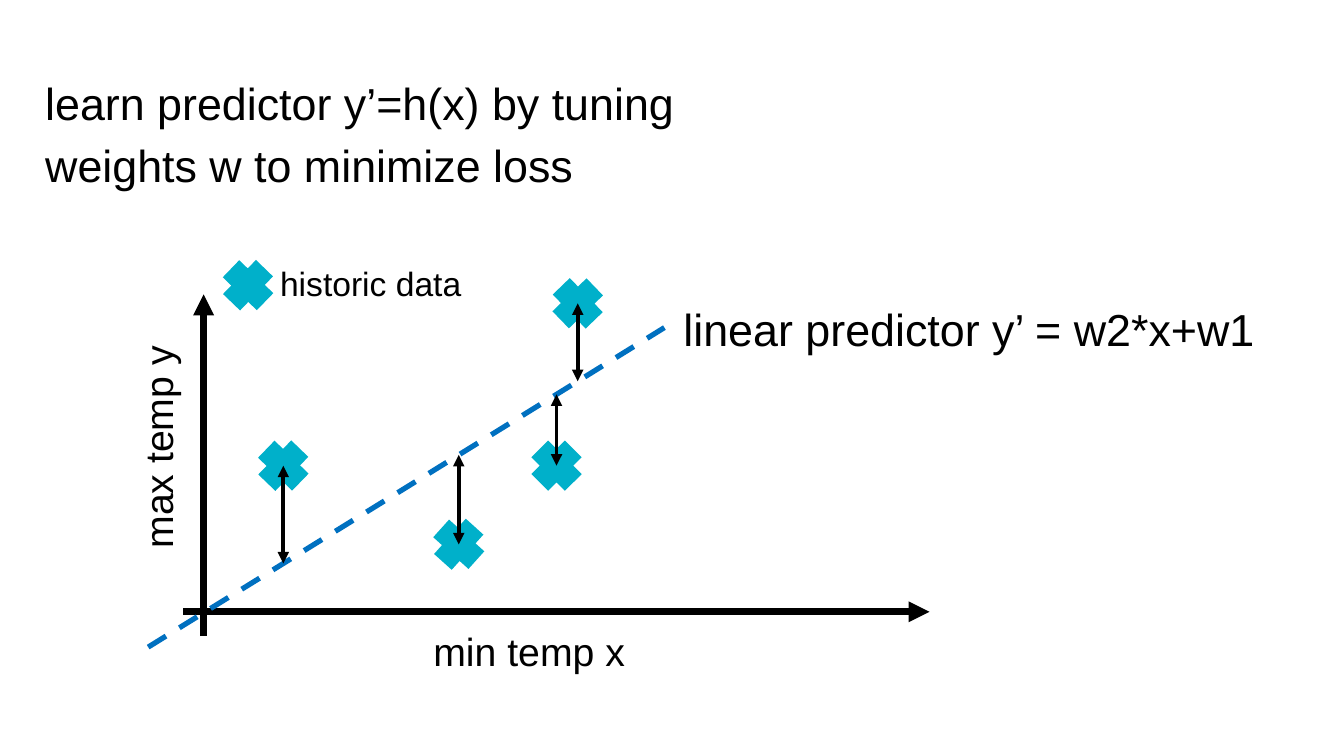
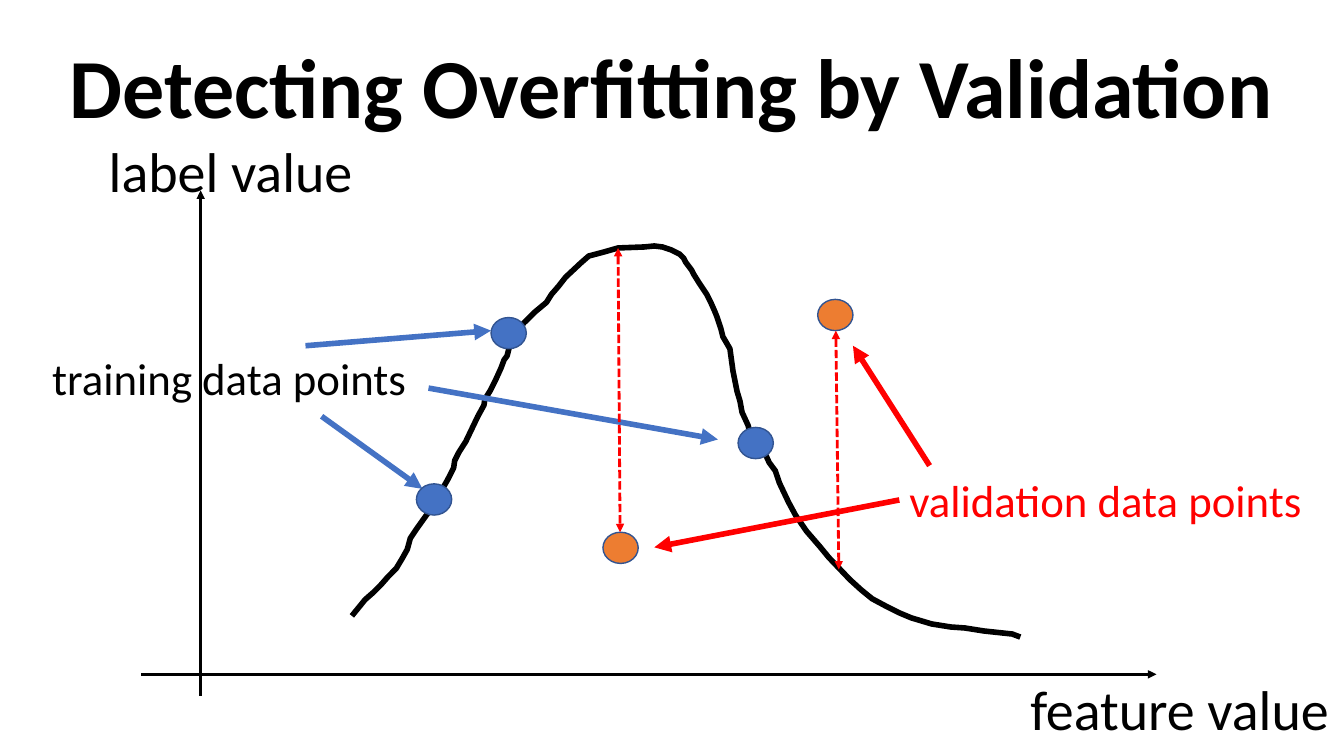
from dataclasses import dataclass

from lxml.etree import SubElement
from pptx import Presentation
from pptx.dml.color import RGBColor
from pptx.enum.dml import MSO_LINE
from pptx.enum.shapes import MSO_CONNECTOR, MSO_SHAPE
from pptx.enum.text import MSO_ANCHOR, MSO_AUTO_SIZE
from pptx.oxml.ns import qn
from pptx.util import Inches, Pt


@dataclass(frozen=True)
class Theme:
    black: str = "000000"
    cross: str = "00B0CA"
    predictor: str = "0070C0"
    training: str = "4472C4"
    validation: str = "ED7D31"
    outline: str = "325491"
    red: str = "FF0000"
    sans: str = "Arial"
    body: str = "Calibri"
    title: int = 60
    axis: int = 40
    text: int = 32
    label: int = 28
    key: int = 24


@dataclass(frozen=True)
class Box:
    left: float
    top: float
    width: float
    height: float

    def point(self, x, y):
        return Inches(self.left + x), Inches(self.top + y)

    def inner(self, x, y, width, height):
        return Box(self.left + x, self.top + y, width, height)

    def lengths(self):
        return [Inches(v) for v in (self.left, self.top, self.width, self.height)]


THEME = Theme()
CROSS_SIZE = 0.47
DOT_WIDTH, DOT_HEIGHT = 0.35, 0.31

# Points are offsets from the top left corner of their plot.
HISTORIC_DATA = [  # x, y, rotation
    (1.81, 2.62, 44), (3.55, 3.4, 42), (4.73, 1.01, 46), (4.52, 2.62, 45),
]
PREDICTOR = (0.47, 4.42), (5.59, 1.25)

TRAINING_DOTS = [(7.32, 3.24), (4.87, 2.15), (4.13, 3.8)]
VALIDATION_DOTS = [(8.11, 1.97), (5.98, 4.28)]
TRAINING_ARROWS = [
    ((3.03, 2.43), (4.87, 2.28)),
    ((4.25, 2.85), (7.12, 3.36)),
    ((3.19, 3.13), (4.19, 3.85)),
]
VALIDATION_ARROWS = [((9.22, 3.62), (8.46, 2.43)), ((8.92, 3.96), (6.49, 4.43))]
VALIDATION_ERRORS = [((6.13, 1.46), (6.15, 4.28)), ((8.29, 2.28), (8.32, 4.65))]
OVERFITTED_CURVE = [
    (3.49, 5.11), (3.58, 5), (3.62, 4.95), (3.7, 4.88), (3.78, 4.8),
    (3.85, 4.72), (3.93, 4.64), (3.99, 4.54), (4.04, 4.45), (4.07, 4.34),
    (4.13, 4.25), (4.23, 4.11), (4.3, 4.02), (4.36, 3.9), (4.44, 3.76),
    (4.5, 3.64), (4.51, 3.57), (4.55, 3.49), (4.62, 3.38), (4.74, 3.13),
    (4.8, 3.02), (4.81, 2.96), (4.86, 2.88), (4.92, 2.76), (4.97, 2.65),
    (5, 2.57), (5.03, 2.53), (5.05, 2.45), (5.11, 2.37), (5.19, 2.21),
    (5.23, 2.17), (5.3, 2.1), (5.42, 2), (5.47, 1.92), (5.54, 1.84),
    (5.61, 1.75), (5.76, 1.61), (5.84, 1.54), (5.99, 1.5), (6.13, 1.46),
    (6.39, 1.45), (6.49, 1.44), (6.57, 1.45), (6.66, 1.48), (6.74, 1.52),
    (6.78, 1.56), (6.8, 1.6), (6.86, 1.68), (6.88, 1.72), (6.93, 1.8),
    (7.01, 1.92), (7.05, 2), (7.09, 2.09), (7.11, 2.14), (7.15, 2.26),
    (7.17, 2.34), (7.24, 2.46), (7.27, 2.68), (7.31, 2.88), (7.34, 2.98),
    (7.36, 3.09), (7.42, 3.22), (7.44, 3.3), (7.5, 3.38), (7.57, 3.46),
    (7.63, 3.59), (7.69, 3.67), (7.73, 3.79), (7.82, 3.98), (7.89, 4.11),
    (8.0, 4.27), (8.13, 4.42), (8.22, 4.53), (8.43, 4.75), (8.54, 4.85),
    (8.65, 4.94), (8.8, 5.02), (8.92, 5.08), (9.04, 5.13), (9.24, 5.19),
    (9.43, 5.22), (9.57, 5.23), (9.76, 5.26), (10.04, 5.29), (10.12, 5.32),
]


def rgb(color):
    return RGBColor.from_string(color)


def add_text(slide, box, lines, size, font, color=THEME.black, bold=False,
             wrap=False, space_after=0, rotation=0, anchor=MSO_ANCHOR.TOP):
    s = slide.shapes.add_textbox(*box.lengths())
    s.rotation = rotation
    tf = s.text_frame
    settings = {
        "word_wrap": wrap,
        "auto_size": MSO_AUTO_SIZE.NONE,
        "vertical_anchor": anchor,
    }
    for name, value in settings.items():
        setattr(tf, name, value)
    for i, line in enumerate(lines):
        p = tf.paragraphs[0] if i == 0 else tf.add_paragraph()
        p.space_after = Pt(space_after)
        r = p.add_run()
        r.text = line
        for name, value in {"name": font, "size": Pt(size), "bold": bold}.items():
            setattr(r.font, name, value)
        r.font.color.rgb = rgb(color)


def add_line(slide, box, start, end, color, width, dash=None, ends=("tailEnd",)):
    """Draw a line with a triangle at each of the named ends."""
    s = slide.shapes.add_connector(
        MSO_CONNECTOR.STRAIGHT, *box.point(*start), *box.point(*end))
    s.line.color.rgb = rgb(color)
    s.line.width = Pt(width)
    if dash:
        s.line.dash_style = dash
    sp_pr = s.element.spPr
    for end_name in ends:
        SubElement(sp_pr.find(qn("a:ln")), qn(f"a:{end_name}"), type="triangle")
    SubElement(sp_pr, qn("a:effectLst"))


def add_shape(slide, kind, box, fill, outline=None, rotation=0):
    s = slide.shapes.add_shape(kind, *box.lengths())
    s.shadow.inherit = False
    s.rotation = rotation
    s.fill.solid()
    s.fill.fore_color.rgb = rgb(fill)
    if outline:
        s.line.color.rgb = rgb(outline)
        s.line.width = Pt(1)
    else:
        s.line.fill.background()


def add_cross(slide, box, x, y, rotation):
    """Mark a data point centred on x, y."""
    half = CROSS_SIZE / 2
    add_shape(slide, MSO_SHAPE.CROSS,
              box.inner(x - half, y - half, CROSS_SIZE, CROSS_SIZE),
              THEME.cross, rotation=rotation)


def add_dots(slide, box, dots, fill):
    for x, y in dots:
        add_shape(slide, MSO_SHAPE.OVAL, box.inner(x, y, DOT_WIDTH, DOT_HEIGHT),
                  fill, THEME.outline)


def add_curve(slide, box, points):
    first, *rest = [box.point(*point) for point in points]
    builder = slide.shapes.build_freeform(*first)
    builder.add_line_segments(rest, close=False)
    s = builder.convert_to_shape()
    s.shadow.inherit = False
    s.fill.background()
    s.line.color.rgb = rgb(THEME.black)
    s.line.width = Pt(4)


def predicted(x):
    """Height of the predictor line at x."""
    (x0, y0), (x1, y1) = PREDICTOR
    return y0 + (x - x0) * (y1 - y0) / (x1 - x0)


def draw_predictor_plot(slide, box):
    both_ends = ("headEnd", "tailEnd")
    for start, end in [((0.82, 4.07), (8.22, 4.07)), ((1.02, 4.31), (1.02, 0.92))]:
        add_line(slide, box, start, end, THEME.black, 5)
    add_line(slide, box, *PREDICTOR, THEME.predictor, 3.75, MSO_LINE.DASH, ends=())
    for x, y, rotation in HISTORIC_DATA:
        add_cross(slide, box, x, y, rotation)
    for x, y, _ in HISTORIC_DATA:
        add_line(slide, box, (x, y), (x, predicted(x)), THEME.black, 2.75,
                 ends=both_ends)
    for text, area, size, rotation in [
        ("min temp x", (3.2, 4.17, 2.21, 0.57), THEME.label, 0),
        ("max temp y", (-0.54, 2.15, 2.21, 0.57), THEME.label, 270),
        ("historic data", (1.68, 0.56, 2, 0.5), THEME.key, 0),
        ("linear predictor y’ = w2*x+w1", (5.68, 0.94, 5.91, 0.64), THEME.text, 0),
    ]:
        add_text(slide, box.inner(*area), [text], size, THEME.sans, rotation=rotation)
    add_cross(slide, box, 1.46, 0.83, 44)


def draw_validation_plot(slide, box):
    add_dots(slide, box, VALIDATION_DOTS, THEME.validation)
    add_curve(slide, box, OVERFITTED_CURVE)
    for text, area, size, color in [
        ("validation data points", (8.92, 3.64, 4.14, 0.64), THEME.text, THEME.red),
        ("training data points", (0.42, 2.43, 3.76, 0.64), THEME.text, THEME.black),
        ("label value", (0.98, 0.31, 2.64, 0.77), THEME.axis, THEME.black),
        ("feature value", (10.12, 5.64, 3.19, 0.77), THEME.axis, THEME.black),
    ]:
        add_text(slide, box.inner(*area), [text], size, THEME.body, color)
    for arrows, color in [(TRAINING_ARROWS, THEME.training),
                          (VALIDATION_ARROWS, THEME.red)]:
        for start, end in arrows:
            add_line(slide, box, start, end, color, 4)
    for start, end in [((1.99, 5.9), (1.99, 0.89)), ((1.4, 5.69), (11.47, 5.69))]:
        add_line(slide, box, start, end, THEME.black, 2)
    for start, end in VALIDATION_ERRORS:
        add_line(slide, box, start, end, THEME.red, 2, MSO_LINE.SQUARE_DOT,
                 ends=("headEnd", "tailEnd"))
    add_dots(slide, box, TRAINING_DOTS, THEME.training)


def build_predictor_slide(slide):
    add_text(slide, Box(0.35, 0.7, 12.13, 1.3),
             ["learn predictor y’=h(x) by tuning", "weights w to minimize loss"],
             THEME.text, THEME.sans, wrap=True, space_after=6)
    draw_predictor_plot(slide, Box(1, 2, 11.6, 4.8))


def build_validation_slide(slide):
    add_text(slide, Box(0.59, 0.12, 12.15, 1.45),
             ["Detecting Overfitting by Validation"], THEME.title, THEME.body,
             bold=True, anchor=MSO_ANCHOR.MIDDLE)
    draw_validation_plot(slide, Box(0, 1, 13.33, 6.5))


def main():
    prs = Presentation()
    prs.slide_width, prs.slide_height = Inches(13.33), Inches(7.5)
    for build in (build_predictor_slide, build_validation_slide):
        build(prs.slides.add_slide(prs.slide_layouts[6]))
    prs.save("out.pptx")


if __name__ == "__main__":
    main()
